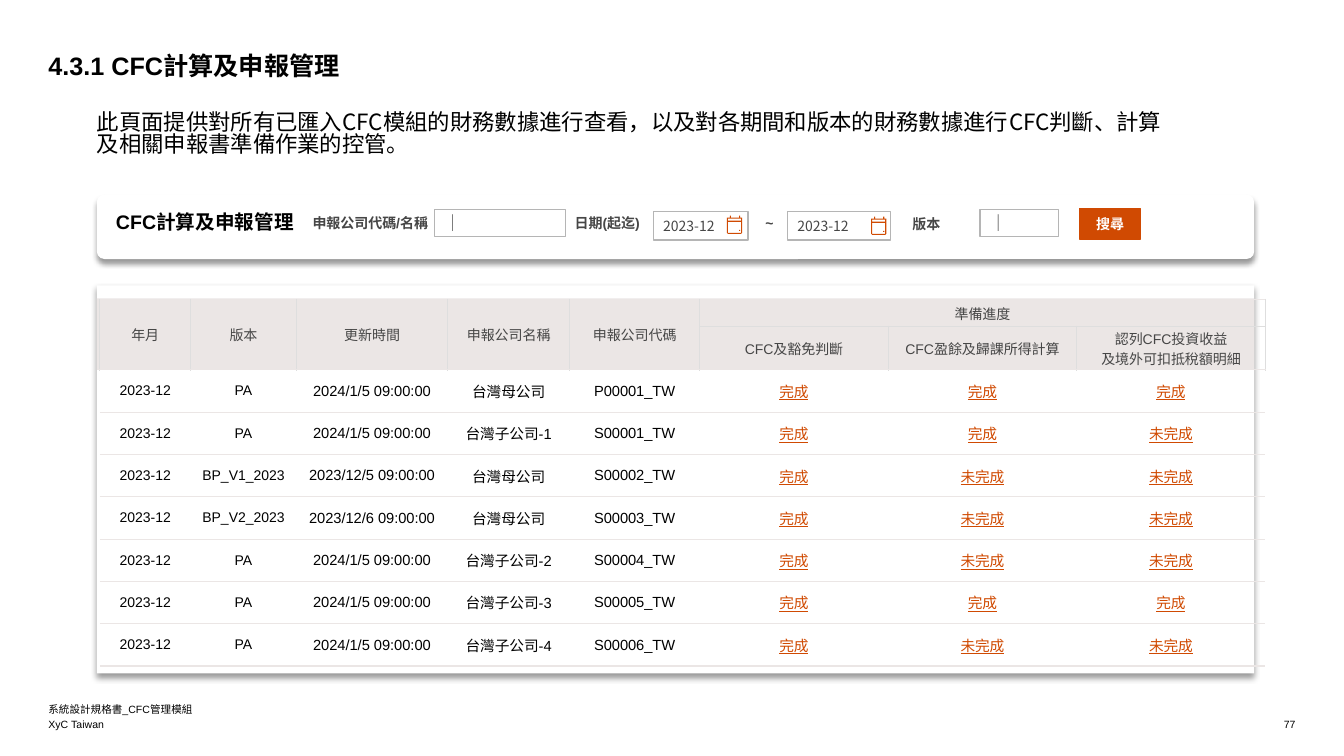
from lxml import etree
from pptx import Presentation
from pptx.dml.color import RGBColor
from pptx.enum.shapes import MSO_SHAPE
from pptx.enum.text import MSO_ANCHOR, PP_ALIGN
from pptx.oxml import parse_xml
from pptx.oxml.ns import nsdecls, qn
from pptx.util import Pt

LEFT, CENTER, RIGHT = PP_ALIGN.LEFT, PP_ALIGN.CENTER, PP_ALIGN.RIGHT
TOP, MIDDLE, BOTTOM = MSO_ANCHOR.TOP, MSO_ANCHOR.MIDDLE, MSO_ANCHOR.BOTTOM
RECT, ROUNDED = MSO_SHAPE.RECTANGLE, MSO_SHAPE.ROUNDED_RECTANGLE
SQUARE_TOP = MSO_SHAPE.ROUND_2_SAME_RECTANGLE
PX = 9144  # 100 px to the inch
ARIAL, NOTO = "Arial", "Noto Sans CJK SC"
NO_GRID_STYLE = "{2D5ABB26-0587-4C30-8999-92F81FD0307C}"

THEME = {
    "black": "000000", "white": "FFFFFF", "grey": "464646", "orange": "D04A02",
    "band": "EBE6E5", "divider": "DEDEDE", "outline": "B5B5B5",
    "title": {"name": ARIAL, "size": Pt(18), "bold": True, "color": "black"},
    "intro": {"name": NOTO, "size": Pt(16), "color": "black"},
    "heading": {"name": ARIAL, "size": Pt(14), "bold": True, "color": "black"},
    "label": {"name": ARIAL, "size": Pt(10), "bold": True, "color": "grey"},
    "button": {"name": ARIAL, "size": Pt(10), "bold": True, "color": "white"},
    "cursor": {"name": ARIAL, "size": Pt(12), "color": "grey"},
    "date": {"name": NOTO, "size": Pt(10), "color": "grey"},
    "header": {"name": ARIAL, "size": Pt(10), "color": "grey"},
    "period": {"name": ARIAL, "size": Pt(10), "color": "black"},
    "detail": {"name": ARIAL, "size": Pt(10.5), "color": "black"},
    "status": {"name": ARIAL, "size": Pt(10.5), "underline": True, "color": "orange"},
    "footer": {"name": ARIAL, "size": Pt(7.5), "color": "black"},
}


def write(frame, text, style, align=LEFT, anchor=None, **layout):
    """Fill a text frame; layout may hold margin (px) and line spacing."""
    frame.text = text
    if anchor is not None:
        frame.word_wrap = True
        frame.vertical_anchor = anchor
    if "margin" in layout:
        for side in ("left", "top", "right", "bottom"):
            setattr(frame, f"margin_{side}", layout["margin"] * PX)
    for paragraph in frame.paragraphs:
        paragraph.alignment = align
        if "spacing" in layout:
            paragraph.line_spacing = layout["spacing"]
        for run in paragraph.runs:
            for key, value in THEME[style].items():
                if key == "color":
                    run.font.color.rgb = RGBColor.from_string(THEME[value])
                else:
                    setattr(run.font, key, value)


def add_panel(kind, box, fill, line=None):
    panel = slide.shapes.add_shape(kind, *(v * PX for v in box))
    panel.shadow.inherit = False
    panel.fill.solid()
    panel.fill.fore_color.rgb = RGBColor.from_string(THEME[fill])
    if line:
        panel.line.color.rgb = RGBColor.from_string(THEME[line])
        panel.line.width = Pt(1)
    else:
        panel.line.fill.background()
    return panel


prs = Presentation()
prs.slide_width, prs.slide_height = 1333 * PX, 750 * PX
slide = prs.slides.add_slide(prs.slide_layouts[5])

title = slide.shapes.title
title.left, title.top, title.width, title.height = (v * PX for v in (48, 55, 398, 30))
write(title.text_frame, "4.3.1 CFC計算及申報管理", "title", LEFT, TOP, margin=0, spacing=0.85)

# Cards
search_card = add_panel(ROUNDED, (96, 193, 1148, 64), "white")
search_card.adjustments[0] = 0.12
results_card = add_panel(SQUARE_TOP, (96, 283, 1148, 385), "white")
results_card.adjustments[0] = 0
for card in (search_card, results_card):
    effects = card._element.spPr.find(qn("a:effectLst"))
    effects.append(parse_xml(
        f'<a:outerShdw {nsdecls("a")} blurRad="{Pt(4)}" dist="{Pt(3)}" dir="5400000" '
        f'algn="t" rotWithShape="0"><a:srgbClr val="{THEME["black"]}">'
        '<a:alpha val="40000"/></a:srgbClr></a:outerShdw>'))
add_panel(RECT, (96, 296, 1148, 71), "band")

# Results table
DONE, OPEN = "完成", "未完成"
PARENT, SUBSIDIARY = "台灣母公司", "台灣子公司"
HEADERS = [
    ["年月", "版本", "更新時間", "申報公司名稱", "申報公司代碼", "準備進度", "", ""],
    ["", "", "", "", "", "CFC及豁免判斷", "CFC盈餘及歸課所得計算",
     "認列CFC投資收益\n及境外可扣抵稅額明細"],
]
REPORTS = [
    ["PA", "2024/1/5", PARENT, "P00001_TW", DONE, DONE, DONE],
    ["PA", "2024/1/5", f"{SUBSIDIARY}-1", "S00001_TW", DONE, DONE, OPEN],
    ["BP_V1_2023", "2023/12/5", PARENT, "S00002_TW", DONE, OPEN, OPEN],
    ["BP_V2_2023", "2023/12/6", PARENT, "S00003_TW", DONE, OPEN, OPEN],
    ["PA", "2024/1/5", f"{SUBSIDIARY}-2", "S00004_TW", DONE, OPEN, OPEN],
    ["PA", "2024/1/5", f"{SUBSIDIARY}-3", "S00005_TW", DONE, DONE, DONE],
    ["PA", "2024/1/5", f"{SUBSIDIARY}-4", "S00006_TW", DONE, OPEN, OPEN],
]
rows = HEADERS + [["2023-12", version, f"{day} 09:00:00", *rest]
                  for version, day, *rest in REPORTS]
column_widths = [90, 105, 150, 121, 129, 187, 187, 187]
row_heights = [27, 43] + [42] * len(REPORTS)
column_styles = ["period"] * 2 + ["detail"] * 3 + ["status"] * 3
FIRST_STATUS = 5

table = slide.shapes.add_table(len(rows), len(column_widths), 99 * PX, 297 * PX,
                               sum(column_widths) * PX, sum(row_heights) * PX).table
table.first_row = table.horz_banding = False
table._tbl.tblPr.find(qn("a:tableStyleId")).text = NO_GRID_STYLE
for column, width in zip(table.columns, column_widths):
    column.width = width * PX
for row, height in zip(table.rows, row_heights):
    row.height = height * PX

for r, values in enumerate(rows):
    is_header = r < len(HEADERS)
    for c, value in enumerate(values):
        cell = table.cell(r, c)
        cell.vertical_anchor = MIDDLE
        if is_header:
            cell.margin_top = cell.margin_bottom = 0
        write(cell.text_frame, value, "header" if is_header else column_styles[c], CENTER)
        under_group = c >= FIRST_STATUS
        borders = {
            "lnL": "divider" if is_header else None,
            "lnR": "divider" if is_header else None,
            "lnT": "divider" if r == 1 and under_group else "band",
            "lnB": "divider" if r == 0 and under_group else "band",
        }
        properties = cell._tc.get_or_add_tcPr()
        for edge, color in borders.items():
            if color:
                line = etree.SubElement(properties, qn(f"a:{edge}"), w=str(Pt(1)))
                fill = etree.SubElement(line, qn("a:solidFill"))
                etree.SubElement(fill, qn("a:srgbClr"), val=THEME[color])
        cell.fill.background()
for c in range(FIRST_STATUS):
    table.cell(0, c).merge(table.cell(1, c))
table.cell(0, FIRST_STATUS).merge(table.cell(0, len(column_widths) - 1))

# Search fields
FIELDS = [
    ((431, 208, 130, 27), "｜", "cursor"),
    ((972, 208, 78, 27), "｜", "cursor"),
    ((648, 210, 94, 28), "2023-12", "date"),
    ((781, 210, 102, 28), "2023-12", "date"),
]
for box, value, style in FIELDS:
    field = add_panel(RECT, box, "white", "outline")
    write(field.text_frame, value, style, LEFT, MIDDLE)
search_button = add_panel(RECT, (1071, 207, 60, 30), "orange", "orange")
write(search_button.text_frame, "搜尋", "button", CENTER, MIDDLE)

# Calendar icons: outline with binding rings, then page, header strip and day mark
CALENDAR = [[(13, 2), (13, 0), (12, 0), (12, 2), (4, 2), (4, 0), (3, 0), (3, 2),
             (0, 2), (0, 17), (1, 18), (14, 18), (15, 17), (15, 2)]]
for x1, y1, x2, y2 in ((1, 6, 14, 17), (1, 3, 14, 5), (12, 14, 13, 15)):
    CALENDAR.append([(x1, y1), (x1, y2), (x2, y2), (x2, y1)])
for left, top in ((721, 214), (864, 215)):
    builder = None
    for contour in CALENDAR:
        start, *others = [(left + x, top + y) for x, y in contour]
        if builder is None:
            builder = slide.shapes.build_freeform(*start, scale=PX)
        else:
            builder.move_to(*start)
        builder.add_line_segments(others, close=True)
    calendar = builder.convert_to_shape()
    calendar.shadow.inherit = False
    calendar.fill.solid()
    calendar.fill.fore_color.rgb = RGBColor.from_string(THEME["orange"])
    calendar.line.fill.background()

# Plain texts
TEXTS = [
    ((96, 111, 1069, 54), "此頁面提供對所有已匯入CFC模組的財務數據進行查看，以及對各期間和版本的"
     "財務數據進行CFC判斷、計算及相關申報書準備作業的控管。", "intro", LEFT, TOP, 0.85),
    ((115, 212, 225, 24), "CFC計算及申報管理", "heading", LEFT, TOP, 0.85),
    ((310, 215, 116, 17), "申報公司代碼/名稱", "label", LEFT, TOP, 0.85),
    ((570, 215, 90, 17), "日期(起迄)", "label", LEFT, TOP, 0.85),
    ((759, 215, 41, 17), "~", "label", LEFT, TOP, 0.85),
    ((905, 216, 60, 17), "版本", "label", LEFT, TOP, 0.85),
    ((48, 695, 599, 15), "系統設計規格書_CFC管理模組", "footer", LEFT, BOTTOM, 1.0),
    ((48, 710, 599, 15), "XyC Taiwan", "footer", LEFT, BOTTOM, 1.0),
    ((1092, 710, 193, 15), "77", "footer", RIGHT, BOTTOM, 1.0),
]
for box, text, style, align, anchor, spacing in TEXTS:
    text_box = slide.shapes.add_textbox(*(v * PX for v in box))
    write(text_box.text_frame, text, style, align, anchor, margin=0, spacing=spacing)

prs.save("out.pptx")
